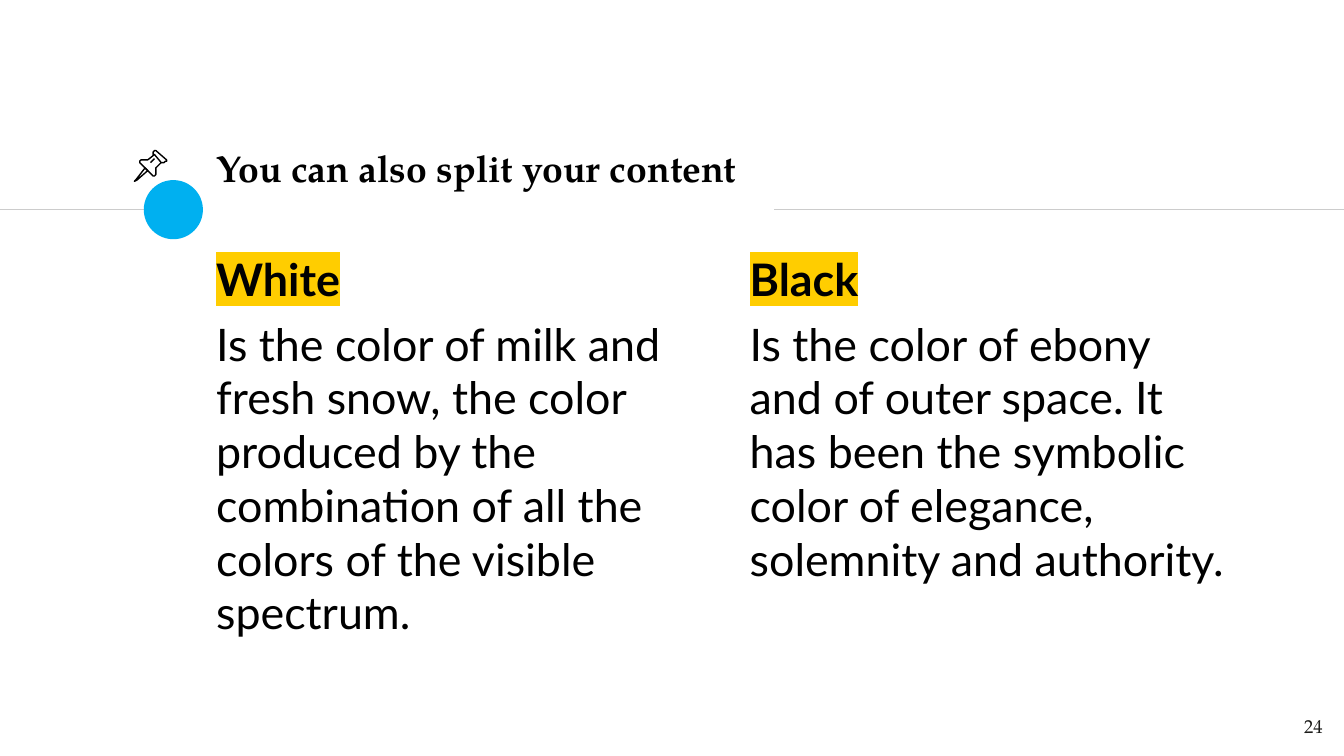
from lxml import etree
from pptx import Presentation
from pptx.dml.color import RGBColor
from pptx.enum.shapes import MSO_CONNECTOR, MSO_SHAPE
from pptx.enum.text import MSO_ANCHOR, PP_ALIGN
from pptx.oxml.ns import qn
from pptx.util import Inches, Pt

STRAIGHT, OVAL = MSO_CONNECTOR.STRAIGHT, MSO_SHAPE.OVAL
TOP, MIDDLE = MSO_ANCHOR.TOP, MSO_ANCHOR.MIDDLE
LEFT, RIGHT = PP_ALIGN.LEFT, PP_ALIGN.RIGHT

WIDTH = 10
HEIGHT = WIDTH * 9 / 16
MARGIN = 1.51
COLUMN_WIDTH, COLUMN_GAP = 3.75, 0.22
COLUMN_TOP, COLUMN_HEIGHT = 1.77, 3.53
RULE_Y = 1.56
RULES = [(0, 1.5), (5.76, WIDTH)]
DOT_SIZE = 0.44

TITLE = "You can also split your content"
PAGE_NUMBER = "24"
COLUMNS = [
    ("White", "Is the color of milk and fresh snow, the color produced by the "
              "combination of all the colors of the visible spectrum."),
    ("Black", "Is the color of ebony and of outer space. It has been the "
              "symbolic color of elegance, solemnity and authority."),
]

TITLE_FORMAT = {"name": "TeX Gyre Pagella", "size": Pt(20), "bold": True}
NUMBER_FORMAT = {"name": "TeX Gyre Pagella", "size": Pt(10), "bold": False}
HEADING_FORMAT = {"name": "Lato", "size": Pt(24), "bold": True}
BODY_FORMAT = {**HEADING_FORMAT, "bold": False}

# Pushpin outlines in hundredths of an inch: (points, closed)
PIN = [
    ([(108, 125), (101, 134), (100, 135), (102, 134), (110, 127)], True),
    ([(115, 115), (120, 121), (122, 121), (123, 120), (124, 120), (124, 119),
      (116, 112), (115, 112), (114, 113), (114, 115)], True),
    ([(115, 115), (110, 119), (108, 119), (105, 119), (104, 120), (104, 121),
      (114, 131), (115, 131), (116, 130), (116, 128), (116, 125),
      (120, 121)], False),
    ([(112, 121), (115, 118)], False),
]


def color(value):
    return RGBColor.from_string(value)


def outline(shape, value):
    shape.line.color.rgb = color(value)
    shape.line.width = Pt(0.75)


def add_rule(page, start, end):
    rule = page.shapes.add_connector(
        STRAIGHT, Inches(start), Inches(RULE_Y), Inches(end), Inches(RULE_Y))
    outline(rule, "CCCCCC")
    etree.SubElement(rule._element.spPr, qn("a:effectLst"))


def highlight(span, value):
    """Put a marker colour behind a run; it must follow the run's fill."""
    fill = span._r.rPr.find(qn("a:solidFill"))
    marker = etree.Element(qn("a:highlight"))
    etree.SubElement(marker, qn("a:srgbClr"), val=value)
    fill.addnext(marker)


def add_text(page, place, paras, anchor=TOP, align=LEFT, space=0):
    """Add a box; paras holds (text, font format, text colour, marker colour)."""
    box = page.shapes.add_textbox(*map(Inches, place))
    frame = box.text_frame
    frame.word_wrap = True
    frame.vertical_anchor = anchor
    for side in ("left", "top", "right", "bottom"):
        setattr(frame, f"margin_{side}", Inches(0.1))
    for index, (text, font_format, text_color, marker) in enumerate(paras):
        para = frame.add_paragraph() if index else frame.paragraphs[0]
        para.alignment = align
        para.space_before = Pt(space)
        span = para.add_run()
        span.text = text
        for key, value in font_format.items():
            setattr(span.font, key, value)
        span.font.color.rgb = color(text_color)
        if marker:
            highlight(span, marker)


def add_pin(page):
    strokes = []
    for points, closed in PIN:
        builder = page.shapes.build_freeform(*points[0], scale=Inches(0.01))
        builder.add_line_segments(points[1:], close=closed)
        stroke = builder.convert_to_shape()
        stroke.shadow.inherit = False
        stroke.fill.background()
        outline(stroke, "000000")
        strokes.append(stroke)
    page.shapes.add_group_shape(strokes)


def main():
    deck = Presentation()
    deck.slide_width, deck.slide_height = Inches(WIDTH), Inches(HEIGHT)
    page = deck.slides.add_slide(deck.slide_layouts[6])

    for start, end in RULES:
        add_rule(page, start, end)
    dot = page.shapes.add_shape(
        OVAL, Inches(MARGIN - DOT_SIZE), Inches(RULE_Y - DOT_SIZE / 2),
        Inches(DOT_SIZE), Inches(DOT_SIZE))
    dot.shadow.inherit = False
    dot.fill.solid()
    dot.fill.fore_color.rgb = color("00B0F0")
    dot.line.fill.background()

    add_text(page, (MARGIN, 1.01, 4.24, 0.48),
             [(TITLE, TITLE_FORMAT, "000000", None)], anchor=MIDDLE)
    for index, (heading, body) in enumerate(COLUMNS):
        left = MARGIN + index * (COLUMN_WIDTH + COLUMN_GAP)
        add_text(page, (left, COLUMN_TOP, COLUMN_WIDTH, COLUMN_HEIGHT),
                 [(heading, HEADING_FORMAT, "000000", "FFCD00"),
                  (body, BODY_FORMAT, "000000", None)], space=6)
    add_pin(page)
    add_text(page, (9.34, 5.19, 0.6, 0.43),
             [(PAGE_NUMBER, NUMBER_FORMAT, "1D1D1B", None)],
             anchor=MIDDLE, align=RIGHT)
    deck.save("out.pptx")


if __name__ == "__main__":
    main()
